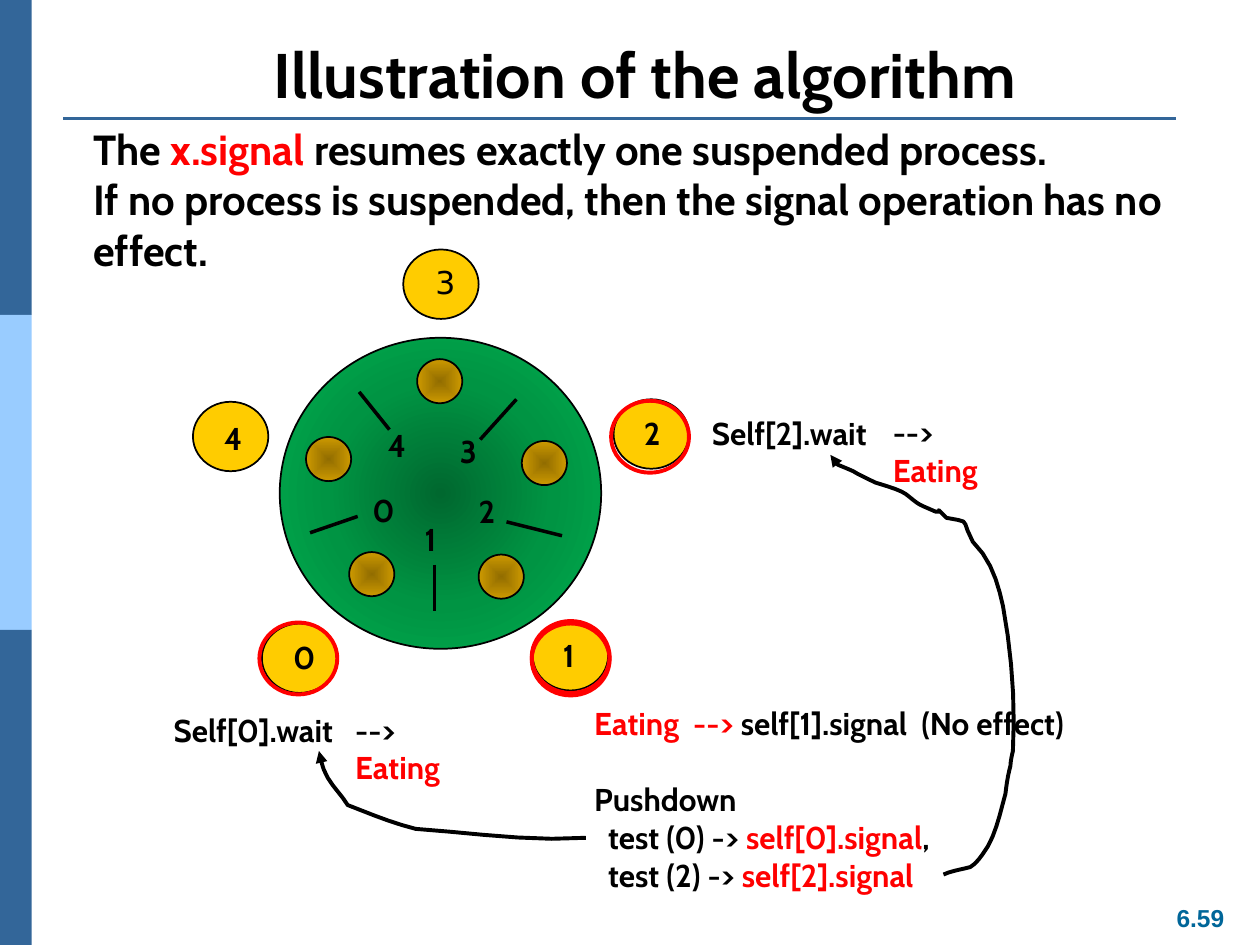
import lxml.etree
import pptx
import pptx.dml.color
import pptx.enum.shapes
import pptx.enum.text
import pptx.oxml
import pptx.oxml.ns
import pptx.util

Cm, Pt = pptx.util.Cm, pptx.util.Pt
SHAPE = pptx.enum.shapes.MSO_SHAPE
ALIGN = pptx.enum.text.PP_ALIGN
ANCHOR = pptx.enum.text.MSO_ANCHOR
FIT = pptx.enum.text.MSO_AUTO_SIZE

THEME = {
    "font": "Cabin", "number_font": "Arial", "plain_font": "DejaVu Sans",
    "title": 36, "body": 24, "label": 18, "number": 14,
    "black": "000000", "red": "FF0000", "bar": "336699", "light_bar": "99CCFF",
    "page": "006699", "seat": "FFCC00",
    "table": ("circle", [(0, "00682F"), (50, "009443"), (100, "00B050")]),
    "plate": ("shape", [(0, "926D00"), (100, "CC9900")]),
}

# All places and sizes are in centimetres.
SLIDE_SIZE = (25.4, 19.05)
TITLE = "Illustration of the algorithm"
TITLE_BOX = (1.57, 0.76, 22.86, 1.6)
SIDEBAR = ["bar", "light_bar", "bar"]
SIDEBAR_WIDTH = 0.64
TITLE_RULE = (1.27, 2.39, 23.7, 2.39)
TABLE_BOX = (5.64, 6.81, 6.48, 6.27)

SEAT_SIZE, PLATE_SIZE, RING_SIZE = (1.52, 1.4), (0.91, 0.89), (1.57, 1.45)
DIGIT_WIDTHS = {"0": 0.86, "1": 0.74, "2": 0.81, "3": 0.82, "4": 0.86}
LABEL_HEIGHT = 1.02
# philosopher: seat corner, label corner
SEATS = {
    "3": ((8.13, 5.03), (8.53, 5.18)),
    "4": ((3.89, 8.1), (4.27, 8.33)),
    "0": ((5.28, 12.57), (5.66, 12.73)),
    "1": ((10.74, 12.52), (11.1, 12.7)),
    "2": ((12.37, 8.05), (12.73, 8.23)),
}
# chopstick: line ends, label corner
CHOPSTICKS = {
    "4": ((7.24, 7.9, 7.85, 8.66), (7.57, 8.46)),
    "3": ((10.41, 8.05, 9.68, 8.86), (9.02, 8.59)),
    "2": ((10.21, 10.52, 11.33, 10.8), (9.4, 9.8)),
    "1": ((8.76, 11.38, 8.76, 12.32), (8.31, 10.36)),
    "0": ((6.25, 10.74, 7.21, 10.41), (7.26, 9.78)),
}
PLATES = [(8.41, 7.24), (10.52, 8.89), (9.65, 11.18), (7.04, 11.13), (6.17, 8.81)]
RINGS = [(10.72, 12.52), (5.23, 12.55), (12.32, 8.08), (10.72, 12.57)]

RULES = [
    [("The ", "black"), ("x.signal", "red"),
     (" resumes exactly one suspended process.", "black")],
    "If no process is suspended, then the signal operation has no effect.",
]
SIGNALS = [
    [("Eating  --> ", "red"), ("self[1].signal  (No effect)", "black")],
    "Pushdown",
    [("test (0) -> ", "black"), ("self[0].signal", "red"), (",", "black")],
    [("test (2) -> ", "black"), ("self[2].signal", "red")],
]
RESUMED = [[("--> ", "black"), ("Eating", "red")]]
WAITS = [
    ("Self[0].wait", (3.25, 14.2, 3.89, 1.02), (6.91, 14.2, 3.05, 1.02)),
    ("Self[2].wait", (14.1, 8.23, 3.71, 1.02), (17.75, 8.2, 3.05, 1.02)),
]
# Bezier arrows: start, then two control points and an end for each curve
SIGNAL_ARROWS = [
    ((11.81, 16.89), [
        (10.67, 16.97, 9.53, 16.79, 8.38, 16.71), (7.9, 16.59, 7.47, 16.41, 7.01, 16.23),
        (6.86, 15.98, 6.65, 15.82, 6.53, 15.52), (6.5, 15.44, 6.48, 15.34, 6.45, 15.27),
        (6.45, 15.21, 6.43, 15.14, 6.43, 15.14)]),
    ((19.02, 17.63), [
        (19.2, 17.55, 19.38, 17.53, 19.56, 17.48), (19.71, 17.4, 19.84, 17.17, 19.91, 17.07),
        (20.09, 16.76, 20.17, 16.36, 20.27, 16), (20.29, 15.82, 20.32, 15.62, 20.37, 15.44),
        (20.37, 15.34, 20.42, 15.14, 20.42, 15.14), (20.47, 14.15, 20.4, 13.21, 20.22, 12.22),
        (20.12, 11.76, 19.99, 11.3, 19.61, 10.92), (19.35, 10.44, 19.61, 10.54, 19.08, 10.44),
        (18.69, 10.06, 19.23, 10.52, 18.62, 10.21), (18.49, 10.16, 18.39, 10.06, 18.26, 9.96),
        (18.16, 9.88, 17.81, 9.78, 17.65, 9.73), (17.65, 9.73, 17.27, 9.55, 17.2, 9.5),
        (17.09, 9.45, 16.89, 9.37, 16.89, 9.37), (16.76, 9.22, 16.81, 9.3, 16.74, 9.17)]),
]


def color(name):
    return pptx.dml.color.RGBColor.from_string(THEME[name])


def drawing_element(parent, tag, **attributes):
    element = lxml.etree.SubElement(parent, pptx.oxml.ns.qn("a:" + tag))
    for key, value in attributes.items():
        element.set(key, str(value))
    return element


def write(frame, paragraphs, size="label", font="font", ink="black", bold=True, align=None):
    """Fill a text frame; a paragraph is a string or a list of (text, colour)."""
    for index, content in enumerate(paragraphs):
        paragraph = frame.paragraphs[0] if index == 0 else frame.add_paragraph()
        paragraph.alignment = align
        for text, run_ink in [(content, ink)] if isinstance(content, str) else content:
            run = paragraph.add_run()
            run.text = text
            run.font.name = THEME[font]
            run.font.size = Pt(THEME[size])
            run.font.bold = bold
            run.font.color.rgb = color(run_ink)


def add_text(slide, box, paragraphs, wrap=False, **style):
    frame = slide.shapes.add_textbox(*map(Cm, box)).text_frame
    frame.word_wrap = wrap
    frame.auto_size = FIT.SHAPE_TO_FIT_TEXT
    write(frame, paragraphs, **style)
    return frame


def add_digit(slide, digit, corner, **style):
    add_text(slide, (*corner, DIGIT_WIDTHS[digit], LABEL_HEIGHT), [digit], **style)


def add_preset(slide, kind, box, fill=None, line=None, width=1):
    shape = slide.shapes.add_shape(kind, *map(Cm, box))
    shape.shadow.inherit = False
    if fill is None:
        shape.fill.background()
    elif isinstance(THEME[fill], str):
        shape.fill.solid()
        shape.fill.fore_color.rgb = color(fill)
    else:
        fill_radially(shape, *THEME[fill])
    if line:
        shape.line.color.rgb = color(line)
        shape.line.width = Pt(width)
    else:
        shape.line.fill.background()


def fill_radially(shape, kind, stops):
    shape.fill.gradient()
    gradient = shape.element.spPr.find(pptx.oxml.ns.qn("a:gradFill"))
    for child in list(gradient):
        gradient.remove(child)
    stop_list = drawing_element(gradient, "gsLst")
    for position, value in stops:
        stop = drawing_element(stop_list, "gs", pos=position * 1000)
        drawing_element(stop, "srgbClr", val=value)
    center = drawing_element(gradient, "path", path=kind)
    drawing_element(center, "fillToRect", l=50000, t=50000, r=50000, b=50000)


def add_line(slide, ends, ink="black", width=2):
    line = slide.shapes.add_connector(
        pptx.enum.shapes.MSO_CONNECTOR.STRAIGHT, *map(Cm, ends))
    line.line.color.rgb = color(ink)
    line.line.width = Pt(width)
    drawing_element(line.element.spPr, "effectLst")


def curve_points(start, curves, steps=5):
    """Points along joined cubic Bezier curves, without the start."""
    points = []
    for x1, y1, x2, y2, x3, y3 in curves:
        for step in range(1, steps + 1):
            t = step / steps
            weights = ((1 - t) ** 3, 3 * t * (1 - t) ** 2, 3 * t * t * (1 - t), t ** 3)
            points.append(tuple(
                Cm(sum(w * value for w, value in zip(weights, values)))
                for values in ((start[0], x1, x2, x3), (start[1], y1, y2, y3))))
        start = (x3, y3)
    return points


def add_curved_arrow(slide, start, curves):
    builder = slide.shapes.build_freeform(*map(Cm, start))
    builder.add_line_segments(curve_points(start, curves), close=False)
    arrow = builder.convert_to_shape()
    arrow.shadow.inherit = False
    arrow.fill.background()
    arrow.line.color.rgb = color("black")
    arrow.line.width = Pt(2.25)
    drawing_element(arrow.line._get_or_add_ln(), "tailEnd", type="triangle")


def main():
    presentation = pptx.Presentation()
    presentation.slide_width, presentation.slide_height = map(Cm, SLIDE_SIZE)
    slide = presentation.slides.add_slide(presentation.slide_layouts[5])

    title = slide.shapes.title
    title.left, title.top, title.width, title.height = map(Cm, TITLE_BOX)
    title.text_frame.vertical_anchor = ANCHOR.BOTTOM
    write(title.text_frame, [TITLE], size="title", align=ALIGN.CENTER)

    bar_height = SLIDE_SIZE[1] / len(SIDEBAR)
    for index, fill in enumerate(SIDEBAR):
        box = (0, index * bar_height, SIDEBAR_WIDTH, bar_height)
        add_preset(slide, SHAPE.RECTANGLE, box, fill)
    add_line(slide, TITLE_RULE, "bar", 1.5)
    add_text(slide, (23.44, 18.08, 1.52, 0.86), ["6.59"], size="number",
             font="number_font", ink="page", align=ALIGN.CENTER)

    add_preset(slide, SHAPE.OVAL, TABLE_BOX, "table", "black")
    for corner, _ in SEATS.values():
        add_preset(slide, SHAPE.OVAL, corner + SEAT_SIZE, "seat", "black")
    for corner in PLATES:
        add_preset(slide, SHAPE.OVAL, corner + PLATE_SIZE, "plate", "black")
    for digit, (ends, corner) in CHOPSTICKS.items():
        add_line(slide, ends)
        add_digit(slide, digit, corner)
    for digit, (_, corner) in SEATS.items():
        plain = digit == "3"
        add_digit(slide, digit, corner, bold=not plain,
                  font="plain_font" if plain else "font")

    signals = add_text(slide, (11.73, 14.07, 10.06, 4.11), SIGNALS)
    signals.paragraphs[1].space_before = Pt(22)
    for paragraph in signals.paragraphs[2:]:
        paragraph._p.get_or_add_pPr().set("marL", str(Cm(0.28)))
    for start, curves in SIGNAL_ARROWS:
        add_curved_arrow(slide, start, curves)
    add_text(slide, (1.63, 2.36, 22.73, 3.33), RULES, wrap=True, size="body")
    for corner in RINGS:
        add_preset(slide, SHAPE.OVAL, corner + RING_SIZE, line="red", width=2.25)
    for wait, wait_box, resumed_box in WAITS:
        add_text(slide, wait_box, [wait])
        add_text(slide, resumed_box, RESUMED, wrap=True)

    presentation.save("out.pptx")


if __name__ == "__main__":
    main()
